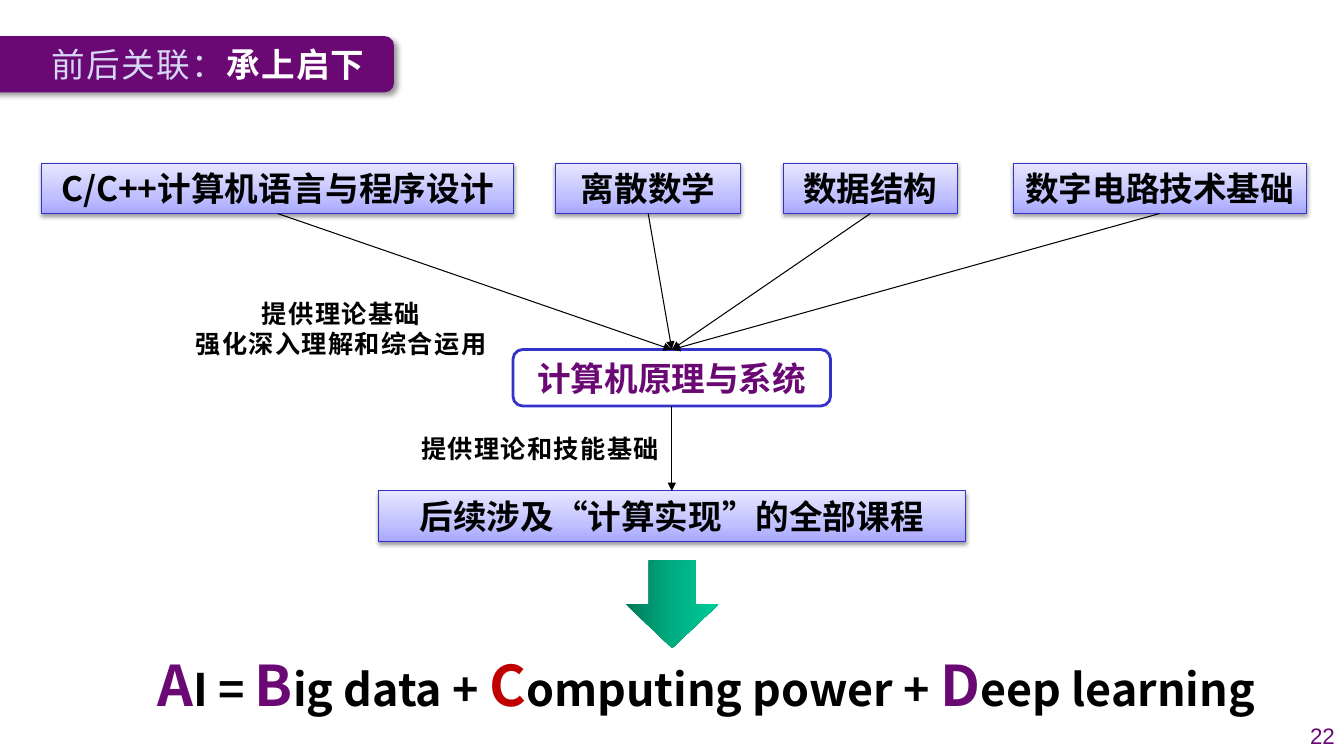
from lxml.etree import SubElement
from pptx import Presentation
from pptx.dml.color import RGBColor
from pptx.enum.shapes import MSO_CONNECTOR, MSO_SHAPE as SHAPE
from pptx.enum.text import MSO_ANCHOR, PP_ALIGN as ALIGN
from pptx.oxml.ns import qn
from pptx.util import Cm, Pt

PURPLE = RGBColor(0x6A, 0x08, 0x74)
RED = RGBColor(0xC0, 0x00, 0x00)
BLACK = RGBColor(0x00, 0x00, 0x00)
WHITE = RGBColor(0xFF, 0xFF, 0xFF)
LAVENDER = RGBColor(0xD6, 0xD6, 0xF5)
BLUE = RGBColor(0x33, 0x33, 0xCC)
BOX_STOPS = [(0, RGBColor(0xA7, 0xA7, 0xFF)), (35, RGBColor(0xC1, 0xC1, 0xFF)),
             (100, RGBColor(0xE7, 0xE7, 0xFF))]
ARROW_STOPS = [(0, RGBColor(0x00, 0x79, 0x5B)), (50, RGBColor(0x00, 0xAC, 0x81)),
               (100, RGBColor(0x00, 0xCC, 0x99))]
CJK = "Noto Sans CJK SC"

COURSES = [("C/C++计算机语言与程序设计", 1.04, 11.91), ("离散数学", 14, 4.67),
           ("数据结构", 19.74, 4.39), ("数字电路技术基础", 25.53, 7.39)]
FORMULA = [("A", PURPLE, "I = "), ("B", PURPLE, "ig data + "),
           ("C", RED, "omputing power + "), ("D", PURPLE, "eep learning")]


def add_run(p, text, size, color, bold=True, font=CJK, spacing=0):
    """Add a run; spacing is the extra gap between letters in points."""
    r = p.add_run()
    r.text = text
    r.font.size, r.font.bold, r.font.name = Pt(size), bold, font
    r.font.color.rgb = color
    rPr = r._r.get_or_add_rPr()
    SubElement(rPr, qn("a:ea"), typeface=font)
    if spacing:
        rPr.set("spc", str(spacing * 100))


def set_gradient(sp, stops, angle):
    sp.fill.gradient()
    sp.fill.gradient_angle = angle
    gs_lst = sp._element.spPr.find(".//" + qn("a:gsLst"))
    gs_lst.clear()
    for pos, color in stops:
        gs = SubElement(gs_lst, qn("a:gs"), pos=str(pos * 1000))
        SubElement(gs, qn("a:srgbClr"), val=str(color))


def set_shadow(sp, alpha, blur, dist, angle):
    """Cast a black shadow; alpha in percent, blur and dist in points."""
    effects = sp._element.spPr.find(qn("a:effectLst"))
    shadow = SubElement(effects, qn("a:outerShdw"), blurRad=str(Pt(blur)),
                        dist=str(Pt(dist)), dir=str(angle * 60000), rotWithShape="0")
    clr = SubElement(shadow, qn("a:srgbClr"), val=str(BLACK))
    SubElement(clr, qn("a:alpha"), val=str(alpha * 1000))


def add_shape(s, kind, x, y, w, h, fill=None, line=None, line_width=0.75):
    sp = s.shapes.add_shape(kind, Cm(x), Cm(y), Cm(w), Cm(h))
    if fill is not None:
        sp.fill.solid()
        sp.fill.fore_color.rgb = fill
    if line is None:
        sp.line.fill.background()
    else:
        sp.line.color.rgb = line
        sp.line.width = Pt(line_width)
    sp.shadow.inherit = False
    return sp


def add_caption(sp, text, color):
    tf = sp.text_frame
    tf.margin_left = tf.margin_right = tf.margin_top = tf.margin_bottom = 0
    tf.vertical_anchor = MSO_ANCHOR.MIDDLE
    p = tf.paragraphs[0]
    p.alignment = ALIGN.CENTER
    add_run(p, text, 24, color)


def add_course_box(s, text, x, y, w):
    sp = add_shape(s, SHAPE.RECTANGLE, x, y, w, 1.27, line=BLUE)
    set_gradient(sp, BOX_STOPS, 90)
    set_shadow(sp, 38, 3.1, 1.6, 90)
    add_caption(sp, text, BLACK)
    return sp


def add_text_box(s, x, y, w, h, align=ALIGN.CENTER):
    tf = s.shapes.add_textbox(Cm(x), Cm(y), Cm(w), Cm(h)).text_frame
    tf.word_wrap = True
    tf.vertical_anchor = MSO_ANCHOR.MIDDLE
    tf.paragraphs[0].alignment = align
    return tf


def add_label(s, lines, x, y, w, h):
    tf = add_text_box(s, x, y, w, h)
    tf.word_wrap = False
    for i, line in enumerate(lines):
        p = tf.add_paragraph() if i else tf.paragraphs[0]
        p.alignment = ALIGN.CENTER
        add_run(p, line, 18, BLACK, spacing=1)


def add_arrow(s, upper, lower):
    """Join the bottom of the upper box to the top of the lower one."""
    c = s.shapes.add_connector(MSO_CONNECTOR.STRAIGHT, 0, 0, 0, 0)
    c.begin_connect(upper, 2)
    c.end_connect(lower, 0)
    c.line.color.rgb = BLACK
    c.line.width = Pt(0.75)
    SubElement(c.line._get_or_add_ln(), qn("a:tailEnd"), type="triangle")
    SubElement(c._element.spPr, qn("a:effectLst"))


def add_title(s):
    bar = add_shape(s, SHAPE.ROUNDED_RECTANGLE, -1.98, 0.91, 11.91, 1.42, PURPLE)
    set_shadow(bar, 40, 4, 3, 45)
    p = add_text_box(s, 1.04, 0.91, 8.89, 1.4, ALIGN.LEFT).paragraphs[0]
    add_run(p, "前后关联：", 24, LAVENDER, bold=False, spacing=1)
    add_run(p, "承上启下", 24, WHITE, spacing=1)


def add_formula(s):
    p = add_text_box(s, 1.73, 16.26, 32.14, 1.96).paragraphs[0]
    for initial, color, rest in FORMULA:
        add_run(p, initial, 40, color)
        add_run(p, rest, 32, BLACK)


def main():
    prs = Presentation()
    prs.slide_width, prs.slide_height = Cm(33.87), Cm(19.05)
    s = prs.slides.add_slide(prs.slide_layouts[6])

    add_title(s)
    number = add_text_box(s, 32.49, 18.03, 1.4, 1.02, ALIGN.RIGHT)
    add_run(number.paragraphs[0], "22", 16, PURPLE, bold=False, font="Arial")

    core = add_shape(s, SHAPE.ROUNDED_RECTANGLE, 12.93, 8.81, 8, 1.42, WHITE, BLUE, 2)
    add_caption(core, "计算机原理与系统", PURPLE)
    courses = [add_course_box(s, text, x, 4.11, w) for text, x, w in COURSES]
    later = add_course_box(s, "后续涉及“计算实现”的全部课程", 9.53, 12.37, 14.8)
    for course in courses:
        add_arrow(s, course, core)
    add_arrow(s, core, later)

    add_label(s, ["提供理论基础", "强化深入理解和综合运用"], 4.62, 7.29, 7.95, 1.96)
    add_label(s, ["提供理论和技能基础"], 10.31, 10.8, 6.6, 1.02)

    down = add_shape(s, SHAPE.DOWN_ARROW, 15.77, 14.12, 2.34, 2.21)
    set_gradient(down, ARROW_STOPS, 0)
    add_formula(s)
    prs.save("out.pptx")


if __name__ == "__main__":
    main()
